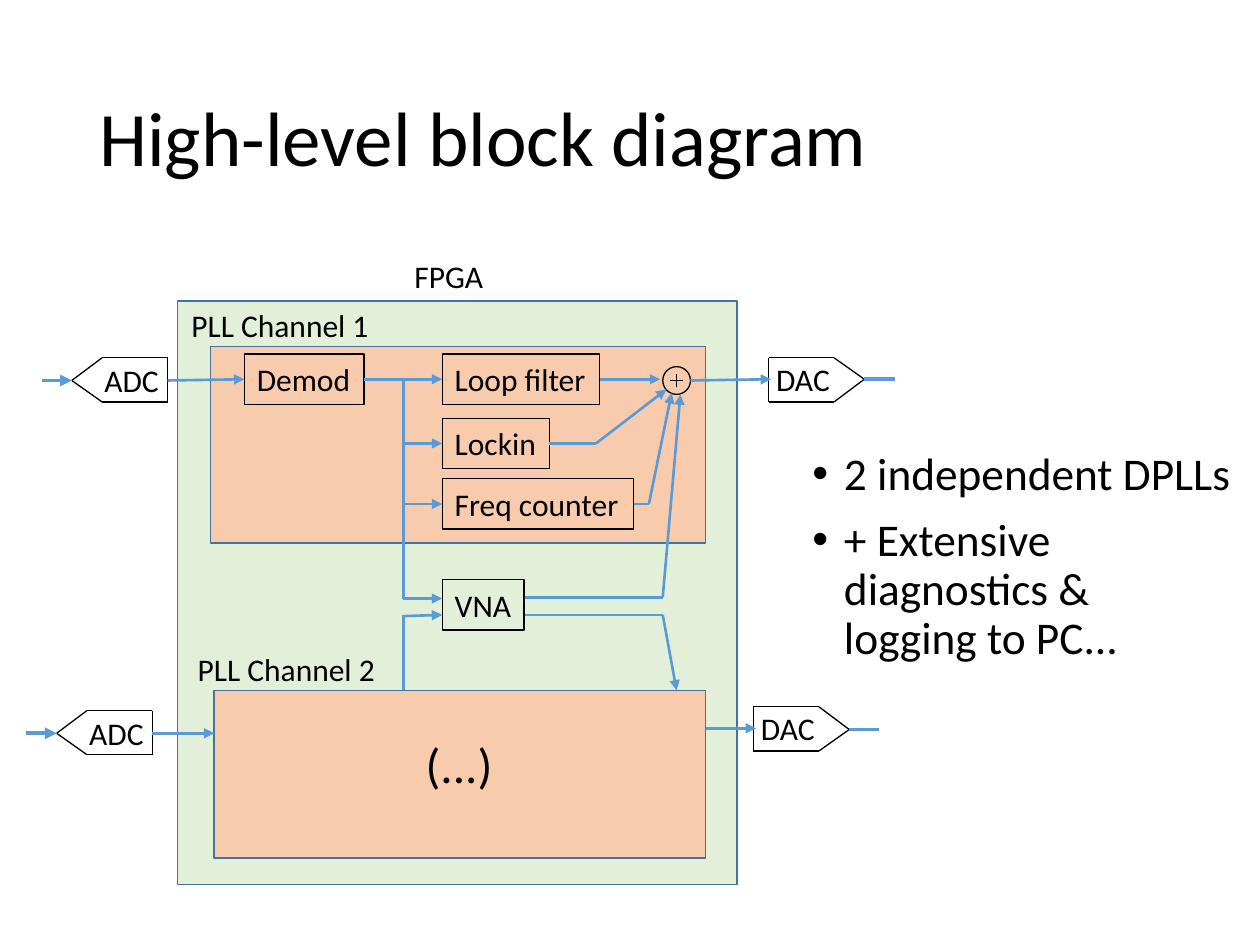
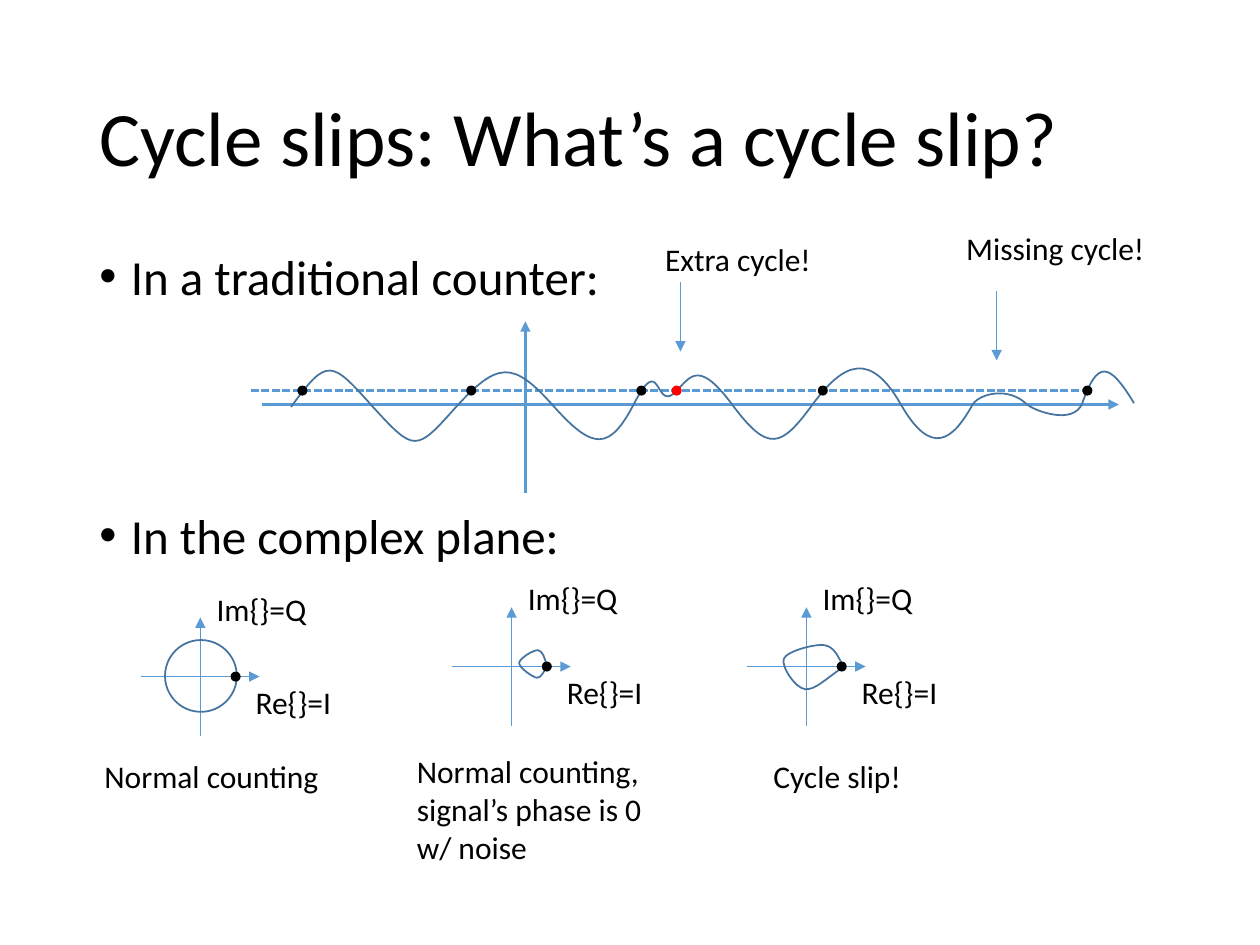
from lxml import etree
from pptx import Presentation
from pptx import util as u
from pptx.dml import color
from pptx.enum import dml, shapes, text
from pptx.oxml import ns

BLUE, EDGE, BLACK, RED = "5B9BD5", "43739E", "000000", "FF0000"
GREEN, ORANGE = "E2F0D9", "F8CBAD"
FONT = "Calibri"
TITLE_AREA = (0.69, 0.4, 8.62, 1.45)
RECT, OVAL = shapes.MSO_SHAPE.RECTANGLE, shapes.MSO_SHAPE.OVAL
colour = color.RGBColor.from_string


def write(page, words, at, preset=None, fill=None, line=None, width=0.75, size=18,
          wrap=False, middle=False, bullet=False, spacing=None, before=0, left=0.1, right=0.1):
    """Add a text box, or a preset shape, holding one paragraph per line of words."""
    area = [u.Inches(length) for length in at]
    if preset is None:
        box = page.shapes.add_textbox(*area)
    else:
        box = page.shapes.add_shape(preset, *area)
        box.shadow.inherit = False
        if fill:
            box.fill.solid()
            box.fill.fore_color.rgb = colour(fill)
        else:
            box.fill.background()
        if line:
            box.line.color.rgb = colour(line)
            box.line.width = u.Pt(width)
        else:
            box.line.fill.background()
    if not words:
        return box
    frame = box.text_frame
    frame.word_wrap = wrap
    frame.margin_left, frame.margin_right = u.Inches(left), u.Inches(right)
    frame.vertical_anchor = text.MSO_ANCHOR.MIDDLE if middle else text.MSO_ANCHOR.TOP
    for index, sentence in enumerate(words.split("\n")):
        para = frame.add_paragraph() if index else frame.paragraphs[0]
        if bullet:
            props = para._p.get_or_add_pPr()
            props.set("marL", str(u.Inches(0.25)))
            props.set("indent", str(-u.Inches(0.25)))
            etree.SubElement(props, ns.qn("a:buFont")).set("typeface", "Arial")
            etree.SubElement(props, ns.qn("a:buChar")).set("char", "•")
        para.alignment = text.PP_ALIGN.LEFT
        if spacing:
            para.line_spacing = spacing
        if index and before:
            para.space_before = u.Pt(before)
        span = para.add_run()
        span.text = sentence
        span.font.name, span.font.size = FONT, u.Pt(size)
        span.font.color.rgb = colour(BLACK)
    return box


def connect(page, start, end, width=1.5, arrow=True, line=BLUE, dash=None):
    """Draw a line; an end is a point, or a (box, side) pair to be joined."""
    joined = [not isinstance(tip[0], (int, float)) for tip in (start, end)]
    points = [(0, 0) if join else tip for join, tip in zip(joined, (start, end))]
    wire = page.shapes.add_connector(
        shapes.MSO_CONNECTOR.STRAIGHT, *[u.Inches(v) for point in points for v in point])
    if joined[0]:
        wire.begin_connect(*start)
    if joined[1]:
        wire.end_connect(*end)
    wire.line.color.rgb = colour(line)
    wire.line.width = u.Pt(width)
    if dash:
        wire.line.dash_style = dash
    if arrow:
        etree.SubElement(wire.line._get_or_add_ln(), ns.qn("a:tailEnd")).set("type", "triangle")
    etree.SubElement(wire._element.spPr, ns.qn("a:effectLst"))


deck = Presentation()
deck.slide_width, deck.slide_height = u.Inches(10), u.Inches(7.5)

# Pages and titles
pages = []
for heading in ("High-level block diagram", "Cycle slips: What’s a cycle slip?"):
    page = deck.slides.add_slide(deck.slide_layouts[6])
    write(page, heading, TITLE_AREA, size=44, wrap=True, middle=True, spacing=0.9)
    pages.append(page)
diagram, slips = pages

# Block diagram: chip and channel areas
for area, fill in (
    ((1.41, 2.39, 4.44, 4.63), GREEN),
    ((1.67, 2.75, 3.93, 1.56), ORANGE),
    ((1.7, 5.48, 3.9, 1.33), ORANGE),
):
    write(diagram, "", area, preset=RECT, fill=fill, line=EDGE, width=1)

write(diagram, "2 independent DPLLs\n+ Extensive diagnostics & logging to PC...",
      (6.35, 3.53, 3.53, 1.8), size=25.9, wrap=True, bullet=True, spacing=0.9, before=10)

for label, left, top, width in (
    ("FPGA", 3.19, 1.99, 0.75),
    ("PLL Channel 1", 1.42, 2.38, 1.63),
    ("PLL Channel 2", 1.47, 5.11, 1.63),
):
    write(diagram, label, (left, top, width, 0.4))
write(diagram, "(...)", (3.28, 5.78, 0.74, 0.57), size=28)

# Processing blocks
blocks = {}
for name, left, top, width in (
    ("Demod", 1.94, 2.81, 0.95),
    ("Loop filter", 3.51, 2.81, 1.25),
    ("Lockin", 3.51, 3.32, 0.85),
    ("Freq counter", 3.51, 3.8, 1.52),
    ("VNA", 3.51, 4.6, 0.65),
):
    blocks[name] = write(diagram, name, (left, top, width, 0.4), preset=RECT, line=BLACK)

# Converters: five-sided outlines whose nose points out of the chip, with a lead
for name, nose, facing, top, center in (
    ("ADC", 0.57, 1, 2.84, 3.02),
    ("ADC", 0.45, 1, 5.64, 5.82),
    ("DAC", 6.86, -1, 2.84, 3.01),
    ("DAC", 6.74, -1, 5.61, 5.79),
):
    shoulder, flat, bottom = nose + 0.24 * facing, nose + 0.76 * facing, top + 0.35
    corners = [(nose, center), (shoulder, top), (flat, top), (flat, bottom), (shoulder, bottom)]
    for corner, following in zip(corners, corners[1:] + corners[:1]):
        connect(diagram, corner, following, width=0.75, arrow=False, line=BLACK)
    if name == "ADC":
        write(diagram, name, (nose + 0.16, top - 0.02, 0.6, 0.4), wrap=True, right=0)
        connect(diagram, (nose - 0.24, center), (nose, center), width=2.25)
    else:
        write(diagram, name, (flat, top - 0.03, 0.76, 0.4), wrap=True, left=0.06)
        connect(diagram, (nose, center), (nose + 0.24, center), width=2.25, arrow=False)

# Summing node
write(diagram, "", (5.26, 2.91, 0.22, 0.22), preset=OVAL, line=BLACK)
for start, end in (((5.37, 2.97), (5.37, 3.07)), ((5.42, 3.02), (5.32, 3.02))):
    connect(diagram, start, end, width=0.75, arrow=False, line=BLACK)

# Signal arrows
for start, end in (
    ((1.33, 3.02), (blocks["Demod"], 1)),
    ((blocks["Demod"], 3), (blocks["Loop filter"], 1)),
    ((blocks["Loop filter"], 3), (5.24, 3.01)),
    ((5.48, 3.02), (6.12, 3.01)),
    ((3.2, 3.52), (blocks["Lockin"], 1)),
    ((3.2, 4), (blocks["Freq counter"], 1)),
    ((3.2, 4.75), (3.51, 4.75)),
    ((3.2, 4.89), (3.51, 4.88)),
    ((4.73, 3.52), (5.29, 3.09)),
    ((5.15, 4), (5.33, 3.12)),
    ((5.26, 4.74), (5.4, 3.13)),
    ((5.26, 4.88), (5.37, 5.48)),
    ((5.6, 5.78), (6, 5.78)),
    ((1.21, 5.82), (1.7, 5.82)),
):
    connect(diagram, start, end)

# Plain signal wires
for start, end in (
    ((blocks["Lockin"], 3), (4.73, 3.52)),
    ((blocks["Freq counter"], 3), (5.15, 4)),
    ((4.17, 4.74), (5.26, 4.74)),
    ((4.17, 4.88), (5.26, 4.88)),
    ((3.2, 3.02), (3.2, 4.75)),
    ((3.2, 4.88), (3.2, 5.48)),
):
    connect(diagram, start, end, arrow=False)

# Cycle slips: bullets, set apart to leave room for the waveform
write(slips, "In a traditional counter:\nIn the complex plane:", (0.69, 2, 8.62, 2.64),
      size=28, wrap=True, bullet=True, spacing=0.8, before=121)

# Waveform axes and threshold
connect(slips, (4.17, 3.91), (4.17, 2.55))
connect(slips, (2.08, 3.21), (8.88, 3.21))
connect(slips, (1.99, 3.1), (8.62, 3.1), arrow=False, dash=dml.MSO_LINE.SQUARE_DOT)

# Complex planes
planes = ((1.59, 5.37), (4.06, 5.29), (6.4, 5.29))
for x, y in planes:
    connect(slips, (x, y + 0.47), (x, y - 0.47), width=0.5)
    connect(slips, (x - 0.47, y), (x + 0.47, y), width=0.5)
    write(slips, "Re{}=I", (x + 0.34, y, 0.81, 0.4))
    write(slips, "Im{}=Q", (x + 0.03, y - 0.74, 0.92, 0.4))
write(slips, "", (1.31, 5.08, 0.57, 0.57), preset=OVAL, line=EDGE, width=1)

# Curves: a start point, then two control points and an end point per Bézier segment
wave = [
    (2.31, 3.23), (2.6, 2.83), (2.63, 2.86), (2.96, 3.23), (3.29, 3.59), (3.3, 3.59), (3.62, 3.23),
    (3.95, 2.87), (4.07, 2.86), (4.39, 3.22), (4.71, 3.58), (4.84, 3.58), (5.04, 3.19),
    (5.24, 2.81), (5.2, 3.23), (5.34, 3.13), (5.47, 3.02), (5.52, 2.82), (5.81, 3.21),
    (6.1, 3.6), (6.2, 3.55), (6.45, 3.21), (6.7, 2.87), (6.91, 2.79), (7.15, 3.21),
    (7.39, 3.63), (7.56, 3.5), (7.72, 3.21), (7.78, 3.12), (8.01, 3.07), (8.15, 3.21),
    (8.21, 3.26), (8.52, 3.38), (8.59, 3.2), (8.71, 2.86), (8.8, 2.87), (9, 3.2),
]
slip_loop = [
    (6.69, 5.28), (6.65, 5.21), (6.62, 5.13), (6.54, 5.12), (6.46, 5.11), (6.24, 5.17), (6.22, 5.23),
    (6.2, 5.29), (6.31, 5.46), (6.39, 5.47), (6.47, 5.48), (6.56, 5.38), (6.7, 5.29),
]
small_loop = [
    (4.34, 5.28), (4.32, 5.22), (4.31, 5.17), (4.27, 5.16), (4.23, 5.16), (4.13, 5.22), (4.12, 5.26),
    (4.12, 5.3), (4.22, 5.37), (4.26, 5.38), (4.3, 5.38), (4.31, 5.33), (4.35, 5.28),
]
for curve, (left, top, width, height) in (
    (wave, (2.31, 2.93, 6.69, 0.57)),
    (slip_loop, (6.22, 5.12, 0.48, 0.35)),
    (small_loop, (4.12, 5.16, 0.22, 0.21)),
):
    # The builder spans the drawn area; its path is then filled with Bézier segments
    builder = slips.shapes.build_freeform(u.Inches(left), u.Inches(top))
    builder.add_line_segments([(u.Inches(left + width), u.Inches(top + height))], close=False)
    outline = builder.convert_to_shape()
    trace = next(outline._element.iter(ns.qn("a:path")))
    for segment in list(trace):
        trace.remove(segment)
    for index, (x, y) in enumerate(curve):
        if index == 0:
            segment = etree.SubElement(trace, ns.qn("a:moveTo"))
        elif index % 3 == 1:
            segment = etree.SubElement(trace, ns.qn("a:cubicBezTo"))
        point = etree.SubElement(segment, ns.qn("a:pt"))
        point.set("x", str(u.Inches(x - left)))
        point.set("y", str(u.Inches(y - top)))
    outline.shadow.inherit = False
    outline.fill.background()
    outline.line.color.rgb = colour(EDGE)
    outline.line.width = u.Pt(1)

# Threshold crossings and phase points
crossings = [(left, 3.06, BLACK) for left in (2.36, 3.7, 5.05, 6.49, 8.59)]
crossings.append((5.33, 3.06, RED))
phases = [(x + 0.24, y - 0.04, BLACK) for x, y in planes]
for left, top, fill in crossings + phases:
    write(slips, "", (left, top, 0.08, 0.08), preset=OVAL, fill=fill)

# Notes on the slips
for label, left, top, width, height in (
    ("Extra cycle!", 5.18, 1.86, 1.37, 0.4),
    ("Missing cycle!", 7.57, 1.77, 1.63, 0.4),
    ("Normal counting", 0.73, 5.96, 1.92, 0.4),
    ("Normal counting,\nsignal’s phase is 0\nw/ noise", 3.21, 5.92, 2, 1.01),
    ("Cycle slip!", 6.04, 5.96, 1.23, 0.4),
):
    write(slips, label, (left, top, width, height))
for x, y in ((5.4, 2.24), (7.91, 2.31)):
    connect(slips, (x, y), (x, y + 0.55), width=0.5)

deck.save("out.pptx")
